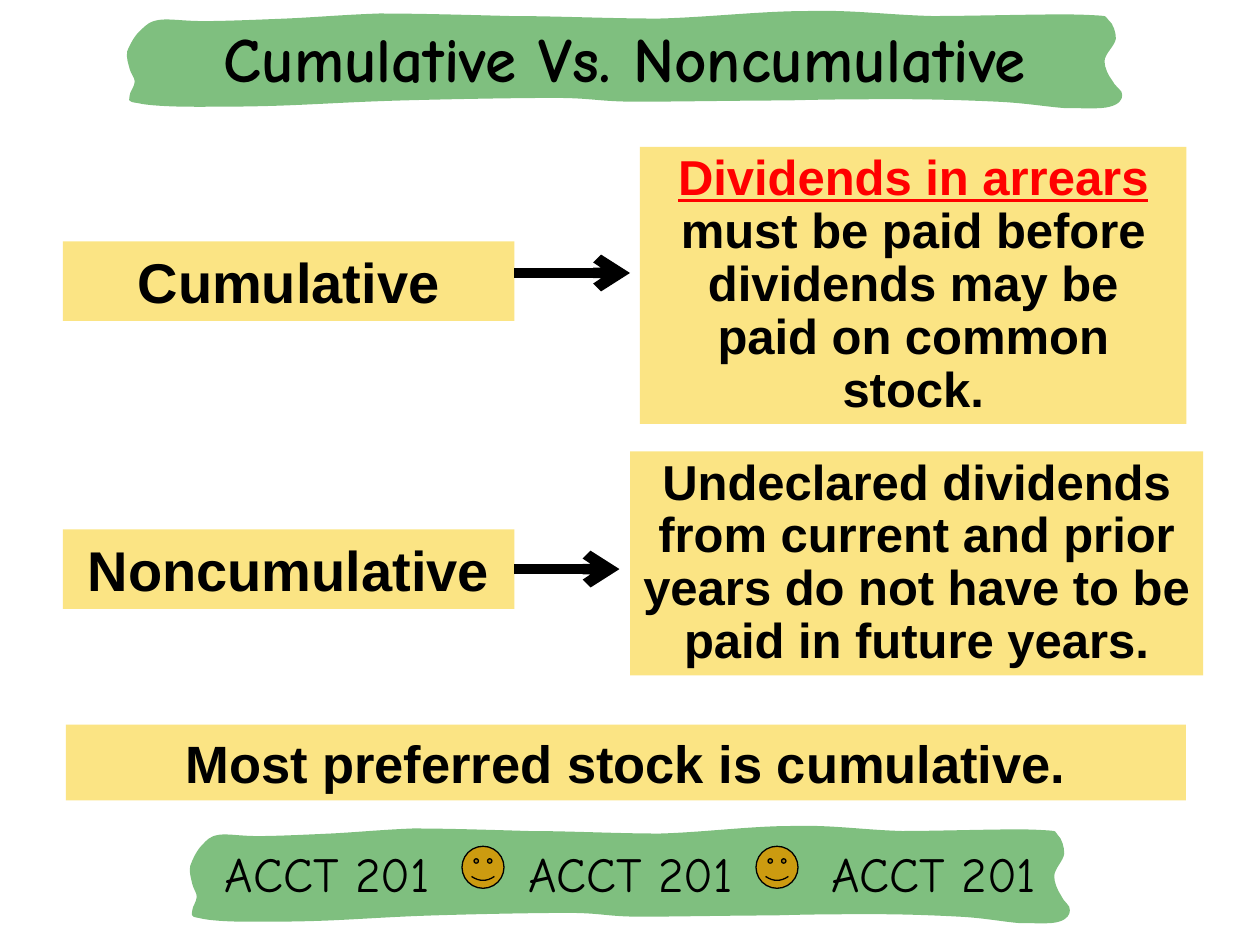
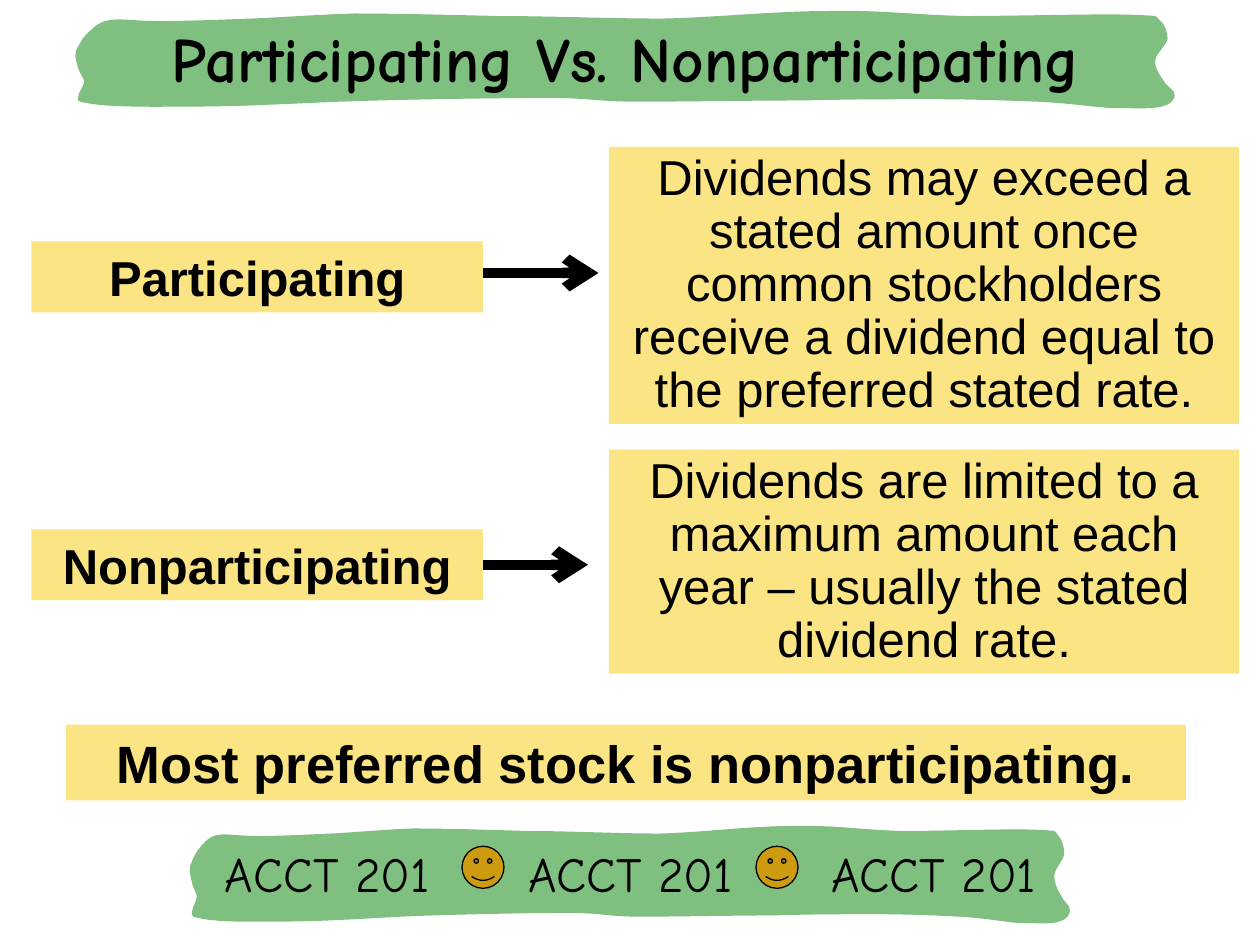
"""Build two slides on the kinds of preferred stock."""
import dataclasses

import lxml.etree
import pptx
import pptx.dml.color
import pptx.enum.shapes
import pptx.enum.text
import pptx.oxml.ns
import pptx.util

Pt = pptx.util.Pt
Align = pptx.enum.text.PP_ALIGN
Anchor = pptx.enum.text.MSO_ANCHOR
Form = pptx.enum.shapes.MSO_SHAPE

WAVE_START = (616, 71)
WAVE_WIDTH = 792
WAVE = [
    (588, 71, 560, 71, 525, 72), (490, 72, 437, 73, 406, 73),
    (375, 73, 371, 70, 340, 70), (308, 70, 254, 71, 219, 72),
    (183, 73, 153, 75, 125, 76), (98, 77, 74, 77, 55, 77),
    (35, 77, 17, 76, 9, 74), (0, 73, 3, 71, 3, 68),
    (3, 65, 7, 61, 7, 57), (7, 54, 4, 51, 3, 47),
    (2, 43, 0, 38, 1, 33), (3, 28, 7, 20, 12, 16),
    (16, 12, 19, 9, 27, 8), (36, 7, 45, 9, 62, 9),
    (78, 9, 103, 8, 127, 7), (150, 6, 172, 4, 201, 3),
    (231, 3, 268, 4, 305, 5), (342, 5, 384, 7, 423, 7),
    (462, 6, 505, 1, 541, 1), (577, 0, 604, 4, 640, 5),
    (677, 5, 738, 3, 761, 4), (784, 5, 776, 5, 780, 8),
    (784, 11, 786, 18, 786, 23), (785, 29, 777, 35, 777, 41),
    (777, 46, 780, 52, 783, 56), (785, 61, 792, 64, 791, 68),
    (791, 71, 789, 75, 781, 77), (774, 79, 760, 78, 745, 78),
    (731, 77, 714, 74, 692, 73), (671, 72, 644, 71, 616, 71),
]


@dataclasses.dataclass(frozen=True)
class Theme:
    """Colours, fonts and type sizes."""
    green: str = "008000"
    yellow: str = "F8CB0A"
    gold: str = "CC9B10"
    black: str = "000000"
    red: str = "FF0000"
    hand: str = "Comic Neue"
    sans: str = "Arial"
    title: int = 36
    label: int = 32
    note: int = 30
    body: int = 28


def rgb(code):
    """Turn a hex code into a colour."""
    return pptx.dml.color.RGBColor.from_string(code)


def add_tag(parent, name, **attrs):
    """Append a drawing element with attributes."""
    return lxml.etree.SubElement(parent, pptx.oxml.ns.qn(name), attrs)


class Deck:
    """Hold the style and the current slide."""

    def __init__(self, theme):
        """Start an empty deck."""
        self.theme = theme
        self.prs = pptx.Presentation()
        self.prs.slide_width = Pt(720)
        self.prs.slide_height = Pt(540)
        self.slide = None

    def new_slide(self):
        """Add a slide with a title only."""
        self.slide = self.prs.slides.add_slide(self.prs.slide_layouts[5])

    def place(self, shape, left, top, width, height):
        """Move and size a shape in points."""
        shape.left, shape.top = Pt(left), Pt(top)
        shape.width, shape.height = Pt(width), Pt(height)

    def paint(self, shape, color, clear=False):
        """Fill a shape, half clear if asked."""
        shape.shadow.inherit = False
        shape.fill.solid()
        shape.fill.fore_color.rgb = rgb(color)
        if clear:
            tint = shape.fill._xPr.find(".//" + pptx.oxml.ns.qn("a:srgbClr"))
            add_tag(tint, "a:alpha", val="50000")

    def style(self, run, font, size, bold=False, color=None):
        """Format one run."""
        run.font.name = font
        run.font.size = Pt(size)
        run.font.bold = bold
        run.font.color.rgb = rgb(color or self.theme.black)

    def band(self, left, top, width):
        """Draw a wavy green band with curved edges."""
        def spot(x, y):
            return Pt(left + x * width / WAVE_WIDTH), Pt(top + y * 0.72)
        pen = self.slide.shapes.build_freeform(*spot(*WAVE_START))
        pen.add_line_segments([spot(*c[4:]) for c in WAVE])
        wave = pen.convert_to_shape()
        lines = list(wave._element.iter(pptx.oxml.ns.qn("a:lnTo")))
        for line, curve in zip(lines, WAVE):
            bend = add_tag(line.getparent(), "a:cubicBezTo")
            line.getparent().replace(line, bend)
            for i in (0, 2, 4):
                x, y = spot(*curve[i:i + 2])
                add_tag(bend, "a:pt", x=str(x - wave.left),
                        y=str(y - wave.top))
        self.paint(wave, self.theme.green, True)
        wave.line.fill.background()

    def title(self, text, left, width):
        """Set the title over its band."""
        self.band(left, 5.6, width)
        head = self.slide.shapes.title
        self.slide.shapes._spTree.append(head._element)
        self.place(head, left, 12, width, 42)
        frame = head.text_frame
        frame.text = text
        frame.word_wrap = False
        frame.auto_size = pptx.enum.text.MSO_AUTO_SIZE.NONE
        frame.vertical_anchor = Anchor.MIDDLE
        para = frame.paragraphs[0]
        para.alignment = Align.CENTER
        self.style(para.runs[0], self.theme.hand, self.theme.title, True)

    def footer(self, text, count=3, pitch=173.25):
        """Repeat the course name with faces between."""
        self.band(108, 471.3, 504)
        area = self.slide.shapes.add_textbox(
            Pt(120), Pt(478), Pt(480), Pt(42))
        frame = area.text_frame
        frame.text = "\t".join([text] * count)
        frame.word_wrap = True
        frame.vertical_anchor = Anchor.MIDDLE
        frame.margin_left = Pt(8.5)
        para = frame.paragraphs[0]
        tabs = add_tag(para._p.get_or_add_pPr(), "a:tabLst")
        for i in range(1, count):
            add_tag(tabs, "a:tab", pos=str(Pt(i * pitch)), algn="l")
        for run in para.runs:
            self.style(run, self.theme.hand, self.theme.body)
        for left in (264, 432):
            face = self.slide.shapes.add_shape(
                Form.SMILEY_FACE, Pt(left), Pt(483.6), Pt(24), Pt(24))
            self.paint(face, self.theme.gold)
            face.line.color.rgb = rgb(self.theme.black)
            face.line.width = Pt(0.75)

    def box(self, text, spot, size, bold=True, lead="", space=1.0):
        """Draw a yellow box, with an optional red lead."""
        card = self.slide.shapes.add_shape(
            Form.RECTANGLE, *[Pt(n) for n in spot])
        self.paint(card, self.theme.yellow, True)
        card.line.fill.background()
        frame = card.text_frame
        frame.word_wrap = True
        frame.vertical_anchor = Anchor.TOP
        para = frame.paragraphs[0]
        para.text = lead or text
        para.alignment = Align.CENTER
        para.line_spacing = space
        if lead:
            para.add_run().text = text
        for run in para.runs:
            self.style(run, self.theme.sans, size, bold)
        if lead:
            para.runs[0].font.underline = True
            para.runs[0].font.color.rgb = rgb(self.theme.red)
        return card

    def arrow(self, label, length, y=None):
        """Point right from a label, joined at its middle by default."""
        start = label.left + label.width
        level = label.top + label.height // 2 if y is None else Pt(y)
        line = self.slide.shapes.add_connector(
            pptx.enum.shapes.MSO_CONNECTOR.STRAIGHT,
            start, level, start + Pt(length), level)
        if y is None:
            line.begin_connect(label, 3)
        line.line.color.rgb = rgb(self.theme.black)
        line.line.width = Pt(6)
        add_tag(line.line._get_or_add_ln(), "a:tailEnd", type="arrow")
        add_tag(line._element.spPr, "a:effectLst")


def compare(deck, head, span, left, size, height, terms, facts, bold, note):
    """Build a slide that sets two terms side by side."""
    theme = deck.theme
    deck.new_slide()
    deck.title(head, *span)
    deck.footer("ACCT 201")
    for lead, text, spot in facts:
        deck.box(text, spot, theme.body, bold, lead, 0.9)
    upper, lower = [
        deck.box(term, (left, top, 258, height), size)
        for term, top in zip(terms, (138, 302.5))]
    deck.box(note, (37.7, 414, 640, 43.4), theme.note)
    deck.arrow(upper, 66, 156)
    deck.arrow(lower, 60)


def main():
    """Build and save the deck."""
    theme = Theme()
    deck = Deck(theme)
    compare(
        deck, "Cumulative Vs. Noncumulative", (72, 570), 36,
        theme.label, 45.4, ("Cumulative", "Noncumulative"),
        [("Dividends in arrears",
          " must be paid before dividends may be paid on common stock.",
          (365.7, 84, 312.3, 158.3)),
         ("", "Undeclared dividends from current and prior years do not "
          "have to be paid in future years.", (360, 258, 327.5, 128))],
        True, "Most preferred stock is cumulative.")
    compare(
        deck, "Participating Vs. Nonparticipating", (42.5, 629.5), 18,
        theme.body, 40.5, ("Participating", "Nonparticipating"),
        [("", "Dividends may exceed a stated amount once common "
          "stockholders receive a dividend equal to the preferred "
          "stated rate.", (348, 84, 360, 158.3)),
         ("", "Dividends are limited to a maximum amount each year – "
          "usually the stated dividend rate.", (348, 257, 360, 128))],
        False, "Most preferred stock is nonparticipating.")
    deck.prs.save("out.pptx")


if __name__ == "__main__":
    main()
